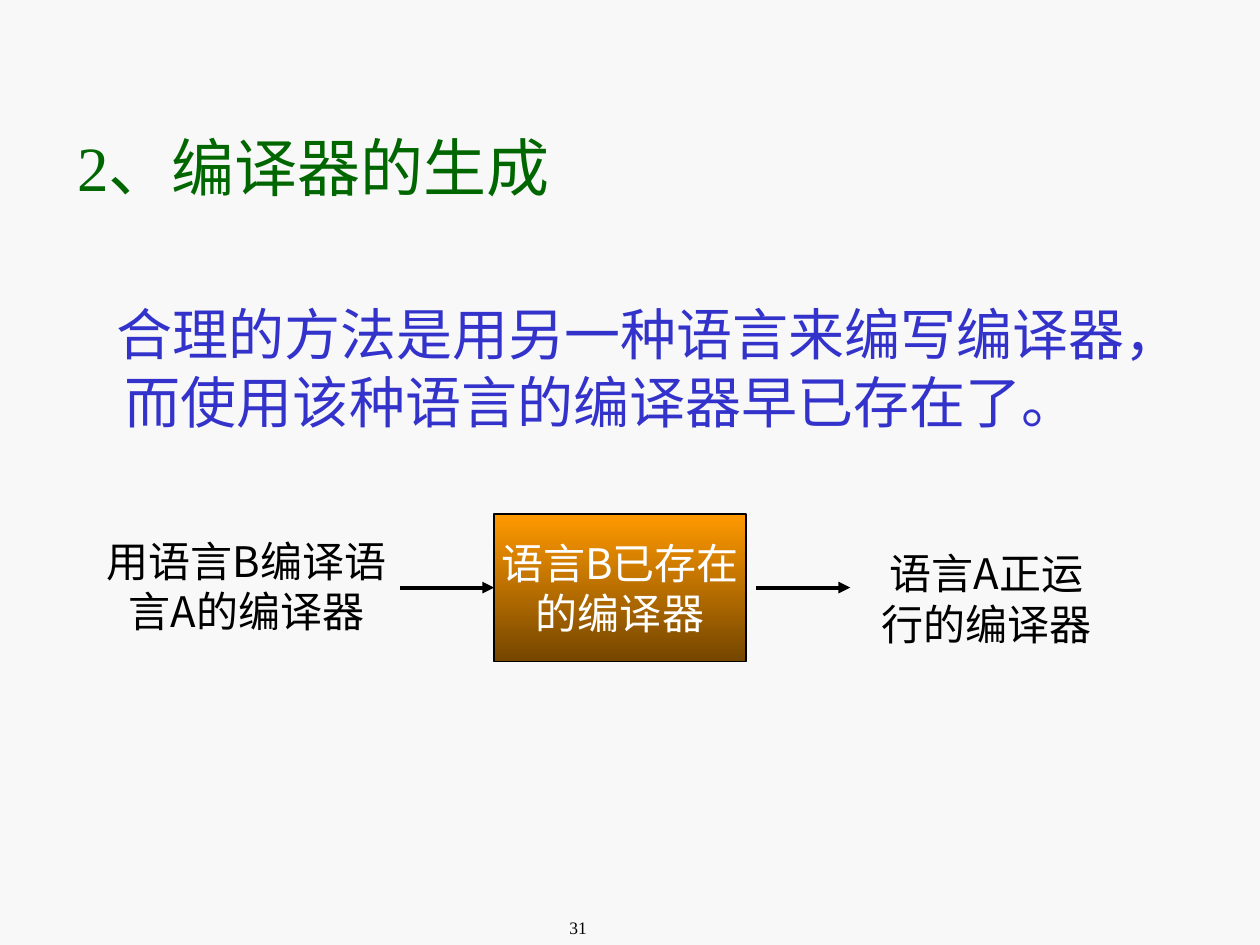
from dataclasses import dataclass

from lxml import etree
from pptx import Presentation
from pptx.dml.color import RGBColor
from pptx.enum.shapes import MSO_CONNECTOR, MSO_SHAPE
from pptx.enum.text import MSO_ANCHOR, MSO_AUTO_SIZE, PP_ALIGN
from pptx.oxml.ns import qn
from pptx.util import Cm, Pt

LEFT, CENTER = PP_ALIGN.LEFT, PP_ALIGN.CENTER
TOP, MIDDLE = MSO_ANCHOR.TOP, MSO_ANCHOR.MIDDLE
RECTANGLE = MSO_SHAPE.RECTANGLE
STRAIGHT = MSO_CONNECTOR.STRAIGHT


@dataclass(frozen=True)
class Theme:
    background: str = "F8F8F8"
    heading: str = "006600"
    body: str = "3333CC"
    ink: str = "000000"
    on_box: str = "FFFFFF"
    box_top: str = "FF9900"
    box_bottom: str = "754600"
    serif: str = "Times New Roman"
    sans: str = "Noto Sans CJK SC"
    heading_size: int = 36
    body_size: int = 32
    label_size: int = 24
    number_size: int = 10
    line_factor: float = 1.2


THEME = Theme()

TITLE = "2、编译器的生成"
STATEMENT = "合理的方法是用另一种语言来编写编译器，而使用该种语言的编译器早已存在了。"
PAGE_NUMBER = "31"
COMPILER = ["语言B已存在", "的编译器"]
# text, left, top, width, height in cm
LABELS = [
    ("用语言B编译语言A的编译器", 1.7, 10.67, 6.55, 2.29),
    ("语言A正运行的编译器", 17.35, 10.92, 5.08, 2.29),
]
BOX = (9.96, 10.36, 5.08, 2.97)
ARROW_STARTS = (8.06, 15.24)
ARROW_LENGTH = 1.9


def color(value):
    return RGBColor.from_string(value)


def write(shape, lines, size, ink, font, align=LEFT, anchor=TOP, wrap=True):
    frame = shape.text_frame
    frame.word_wrap = wrap
    frame.auto_size = MSO_AUTO_SIZE.NONE
    frame.vertical_anchor = anchor
    for index, line in enumerate(lines):
        paragraph = frame.add_paragraph() if index else frame.paragraphs[0]
        paragraph.alignment = align
        paragraph.space_before = Pt(0)
        paragraph.line_spacing = Pt(size * THEME.line_factor)
        run = paragraph.add_run()
        run.text = line
        run.font.size = Pt(size)
        run.font.name = font
        run.font.color.rgb = color(ink)
        east_asian = etree.SubElement(run.font._element, qn("a:ea"))
        east_asian.set("typeface", THEME.sans)


def add_text(slide, place, *arguments, **options):
    shape = slide.shapes.add_textbox(*map(Cm, place))
    write(shape, *arguments, **options)
    return shape


def add_title(slide):
    title = slide.shapes.title
    title.left, title.top, title.width, title.height = map(Cm, (1.3, 2.46, 22.76, 2))
    write(title, [TITLE], THEME.heading_size, THEME.heading, THEME.serif)


def add_statement(slide):
    shape = add_text(slide, (1.3, 5.92, 22.76, 3.5), [STATEMENT],
                     THEME.body_size, THEME.body, THEME.serif)
    properties = shape.text_frame.paragraphs[0]._p.get_or_add_pPr()
    properties.set("marL", str(Cm(0.97)))
    properties.set("indent", str(Cm(-0.17)))


def add_compiler_box(slide):
    box = slide.shapes.add_shape(RECTANGLE, *map(Cm, BOX))
    box.shadow.inherit = False
    box.fill.gradient()
    box.fill.gradient_angle = 270
    shades = (THEME.box_top, THEME.box_bottom)
    for position, (stop, shade) in enumerate(zip(box.fill.gradient_stops, shades)):
        stop.position = position
        stop.color.rgb = color(shade)
    box.line.color.rgb = color(THEME.ink)
    box.line.width = Pt(0.75)
    write(box, COMPILER, THEME.label_size, THEME.on_box, THEME.sans,
          align=CENTER, anchor=MIDDLE, wrap=False)


def add_arrow(slide, start):
    height = Cm(BOX[1] + BOX[3] / 2)
    arrow = slide.shapes.add_connector(
        STRAIGHT, Cm(start), height, Cm(start + ARROW_LENGTH), height)
    arrow.line.color.rgb = color(THEME.ink)
    arrow.line.width = Pt(2.25)
    etree.SubElement(arrow.line._get_or_add_ln(), qn("a:tailEnd"), type="triangle")
    etree.SubElement(arrow._element.spPr, qn("a:effectLst"))


def main():
    presentation = Presentation()
    presentation.slide_width, presentation.slide_height = Cm(25.4), Cm(19.05)
    slide = presentation.slides.add_slide(presentation.slide_layouts[5])
    slide.background.fill.solid()
    slide.background.fill.fore_color.rgb = color(THEME.background)

    add_title(slide)
    add_statement(slide)
    for text, *place in LABELS:
        add_text(slide, place, [text], THEME.label_size, THEME.ink,
                 THEME.sans, align=CENTER)
    add_compiler_box(slide)
    for start in ARROW_STARTS:
        add_arrow(slide, start)
    add_text(slide, (11.23, 18.36, 2.11, 0.69), [PAGE_NUMBER],
             THEME.number_size, THEME.ink, THEME.serif)
    presentation.save("out.pptx")


if __name__ == "__main__":
    main()
